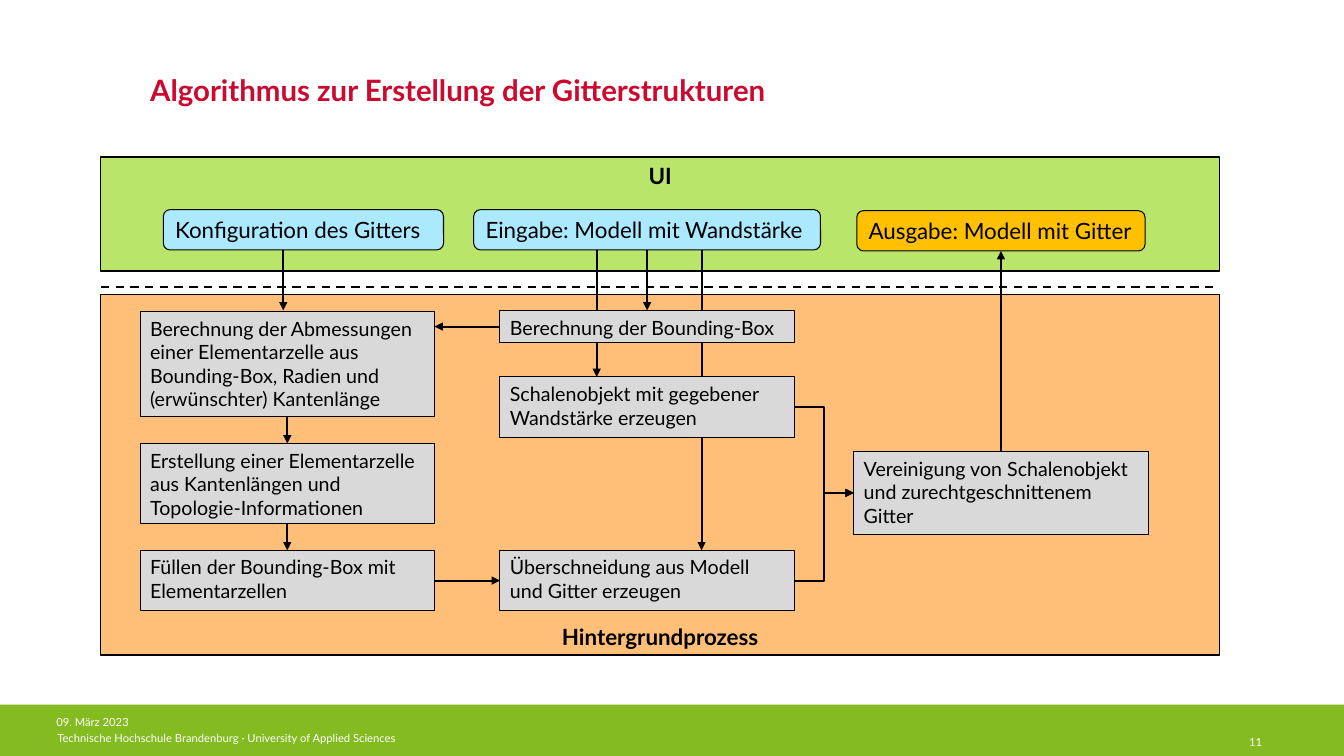
from pptx import Presentation
from pptx.dml.color import RGBColor
from pptx.enum.dml import MSO_LINE
from pptx.enum.shapes import MSO_CONNECTOR as Route, MSO_SHAPE as Preset
from pptx.enum.text import MSO_ANCHOR as Anchor, MSO_AUTO_SIZE as AutoSize, PP_ALIGN as Align
from pptx.oxml.ns import qn
from pptx.util import Inches, Pt
from lxml.etree import SubElement

TOP, LEFT, BOTTOM, RIGHT = range(4)
BLACK, WHITE, RED = "000000", "FFFFFF", "CC0A2F"
LIME, ORANGE, GREEN = "B9E56A", "FFBF79", "83BB20"
SKY, AMBER, GREY = "ABE9FF", "FFC000", "D9D9D9"


def color(hex_code):
    """Turn a hex string into a colour."""
    return RGBColor.from_string(hex_code)


def grid(*cells):
    """Convert grid columns or rows, ten to the inch, to lengths."""
    return [Inches(cell / 10) for cell in cells]


class Diagram:
    """The current slide and the style of its elements."""

    font = "Lato"

    def __init__(self, deck):
        """Add a slide that has only a title."""
        self.slide = deck.slides.add_slide(deck.slide_layouts[5])
        self.shapes = self.slide.shapes

    def caption(self, shape, text, size, ink=BLACK, bold=False, align=Align.LEFT,
                anchor=Anchor.TOP, spacing=None):
        """Fill a shape with one styled paragraph."""
        frame = shape.text_frame
        frame.text = text
        frame.word_wrap = True
        frame.auto_size = AutoSize.NONE
        frame.vertical_anchor = anchor
        paragraph = frame.paragraphs[0]
        paragraph.alignment = align
        if spacing:
            paragraph.line_spacing = Pt(spacing)
        font = paragraph.runs[0].font
        font.name, font.size, font.bold = self.font, Pt(size), bold
        font.color.rgb = color(ink)

    def title(self, text, *box):
        """Place and format the slide title."""
        heading = self.shapes.title
        heading.left, heading.top, heading.width, heading.height = grid(*box)
        self.caption(heading, text, 21, RED, bold=True, spacing=25)

    def label(self, text, *box, **style):
        """Add small white text for the footer."""
        self.caption(self.shapes.add_textbox(*grid(*box)), text, 8, WHITE, **style)

    def block(self, fill, *box, preset=Preset.RECTANGLE, line=None):
        """Add a filled shape, outlined if a line width is given."""
        shape = self.shapes.add_shape(preset, *grid(*box))
        shape.shadow.inherit = False
        shape.fill.solid()
        shape.fill.fore_color.rgb = color(fill)
        if line:
            shape.line.color.rgb = color(BLACK)
            shape.line.width = Pt(line)
        else:
            shape.line.fill.background()
        return shape

    def panel(self, text, fill, top, height, anchor):
        """Add a full-width area with a bold caption."""
        area = self.block(fill, 10, top, 111, height, line=1)
        self.caption(area, text, 16, bold=True, align=Align.CENTER, anchor=anchor)

    def port(self, text, fill, *box):
        """Add a rounded input or output."""
        shape = self.block(fill, *box, preset=Preset.ROUNDED_RECTANGLE, line=0.75)
        self.caption(shape, text, 16, anchor=Anchor.MIDDLE)
        shape.text_frame.margin_right = 0
        return shape

    def step(self, text, left, top, height):
        """Add a processing step."""
        shape = self.block(GREY, left, top, 29.2, height, line=0.75)
        self.caption(shape, text, 14)
        return shape

    def link(self, begin, end, route=Route.STRAIGHT, dashed=False):
        """Draw an arrow or dashed line between points or (shape, side) pairs."""
        free = [(0, 0) if hasattr(stop[0], "shape_id") else stop for stop in (begin, end)]
        connector = self.shapes.add_connector(route, *grid(*free[0], *free[1]))
        if begin is not free[0]:
            connector.begin_connect(*begin)
        if end is not free[1]:
            connector.end_connect(*end)
        connector.line.color.rgb = color(BLACK)
        connector.line.width = Pt(1.5)
        properties = connector._element.spPr
        if dashed:
            connector.line.dash_style = MSO_LINE.DASH
        else:
            SubElement(properties.find(qn("a:ln")), qn("a:tailEnd"), type="triangle")
        SubElement(properties, qn("a:effectLst"))


def main():
    """Build the slide and save it."""
    deck = Presentation()
    deck.slide_width, deck.slide_height = grid(133.33, 75)
    page = Diagram(deck)
    first, second, third = 13.9, 49.6, 84.7

    page.block(GREEN, 0, 69.9, 133.33, 5.1)
    page.label("Technische Hochschule Brandenburg · University of Applied Sciences",
               4.7, 72.1, 71.1, 2.4)
    page.label("09. März 2023", 4.6, 70.5, 83.2, 4)
    page.label("11", 95.3, 71.4, 30.9, 3.3, align=Align.RIGHT, anchor=Anchor.MIDDLE, spacing=18)
    page.title("Algorithmus zur Erstellung der Gitterstrukturen", 13.9, 6.7, 111.4, 7.5)

    page.panel("UI", LIME, 15.6, 11.3, Anchor.TOP)
    page.panel("Hintergrundprozess", ORANGE, 29.2, 35.8, Anchor.BOTTOM)
    page.link((10, 28.5), (120.9, 28.5), dashed=True)
    page.link((69.6, 24.8), (69.6, 54.6))
    page.link((59.2, 24.8), (59.2, 37.4))
    page.link((28.1, 24.8), (28.1, 30.8))

    page.port("Konfiguration des Gitters", SKY, 16.2, 20.8, 27.8, 4)
    model = page.port("Eingabe: Modell mit Wandstärke", SKY, 47, 20.8, 34.4, 4)
    result = page.port("Ausgabe: Modell mit Gitter", AMBER, 85, 20.9, 28.6, 4)

    cell_size = page.step("Berechnung der Abmessungen einer Elementarzelle aus Bounding-Box, "
                          "Radien und (erwünschter) Kantenlänge", first, 30.9, 10.4)
    cell = page.step("Erstellung einer Elementarzelle aus Kantenlängen und "
                     "Topologie-Informationen", first, 44, 7.9)
    filling = page.step("Füllen der Bounding-Box mit Elementarzellen", first, 54.6, 6)
    bounds = page.step("Berechnung der Bounding-Box", second, 30.8, 3.2)
    shell = page.step("Schalenobjekt mit gegebener Wandstärke erzeugen", second, 37.4, 6)
    overlap = page.step("Überschneidung aus Modell und Gitter erzeugen", second, 54.6, 6)
    union = page.step("Vereinigung von Schalenobjekt und zurechtgeschnittenem Gitter",
                      third, 44.8, 8.2)

    page.link((model, BOTTOM), (bounds, TOP))
    page.link((bounds, LEFT), (43.1, 32.4))
    page.link((cell_size, BOTTOM), (cell, TOP))
    page.link((cell, BOTTOM), (filling, TOP))
    page.link((filling, RIGHT), (overlap, LEFT))
    for part in (shell, overlap):
        page.link((part, RIGHT), (union, LEFT), Route.ELBOW)
    page.link((union, TOP), (result, BOTTOM))
    deck.save("out.pptx")


if __name__ == "__main__":
    main()
